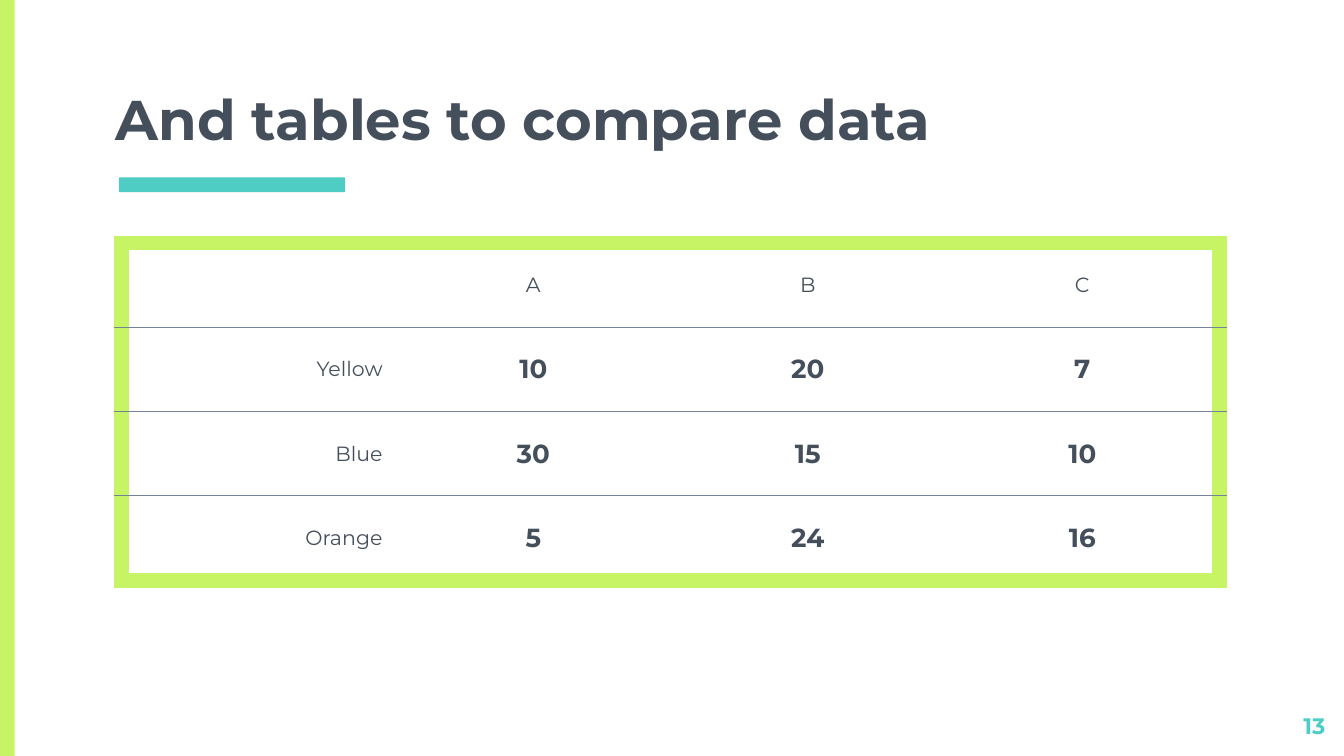
from dataclasses import dataclass

from lxml.etree import SubElement
from pptx import Presentation
from pptx.dml.color import RGBColor
from pptx.enum.shapes import MSO_SHAPE
from pptx.enum.text import MSO_ANCHOR, PP_ALIGN
from pptx.oxml.ns import qn
from pptx.util import Inches, Pt

SLIDE_WIDTH = Inches(10)
SLIDE_HEIGHT = SLIDE_WIDTH * 9 // 16


@dataclass(frozen=True)
class Theme:
    font: str = "Montserrat"
    ink: str = "454F5B"
    lime: str = "C7F464"
    teal: str = "4ECDC4"
    rule: str = "738498"
    title_size: float = 30
    label_size: float = 11
    value_size: float = 14
    number_size: float = 12
    frame_width: float = 9
    rule_width: float = 0.75


THEME = Theme()

ROWS = [
    ["", "A", "B", "C"],
    ["Yellow", "10", "20", "7"],
    ["Blue", "30", "15", "10"],
    ["Orange", "5", "24", "16"],
]


def place(left, top, width, height):
    """Turn percentages of the slide's size into lengths."""
    return [
        round(share * side / 100)
        for share, side in zip(
            (left, top, width, height), (SLIDE_WIDTH, SLIDE_HEIGHT) * 2
        )
    ]


def set_attributes(target, values):
    for name, value in values.items():
        setattr(target, name, value)


def write(frame, text, size, color, bold=False, align=PP_ALIGN.LEFT):
    para = frame.paragraphs[0]
    para.alignment = align
    if not text:
        return
    span = para.add_run()
    span.text = text
    set_attributes(span.font, {"name": THEME.font, "size": Pt(size), "bold": bold})
    span.font.color.rgb = RGBColor.from_string(color)


def add_bar(page, area, color):
    bar = page.shapes.add_shape(MSO_SHAPE.RECTANGLE, *place(*area))
    bar.shadow.inherit = False
    bar.fill.solid()
    bar.fill.fore_color.rgb = RGBColor.from_string(color)
    bar.line.fill.background()


def add_text(page, area, text, anchor, **style):
    box = page.shapes.add_textbox(*place(*area))
    margins = ("margin_left", "margin_top", "margin_right", "margin_bottom")
    set_attributes(
        box.text_frame,
        {"word_wrap": True, "vertical_anchor": anchor}
        | dict.fromkeys(margins, Inches(0.1)),
    )
    write(box.text_frame, text, **style)


def draw_border(cell, side, color, width):
    """Draw one side of a cell (L, R, T or B); without a colour it stays clear."""
    properties = cell._tc.get_or_add_tcPr()
    line = SubElement(properties, qn(f"a:ln{side}"), w=str(Pt(width)))
    if color:
        fill = SubElement(line, qn("a:solidFill"))
        SubElement(fill, qn("a:srgbClr"), val=color)
    else:
        SubElement(line, qn("a:noFill"))


def draw_borders(cell, row, column, last_row, last_column):
    frame = (THEME.lime, THEME.frame_width)
    rule = (THEME.rule, THEME.rule_width)
    clear = (None, 0)
    borders = {
        "L": frame if column == 0 else clear,
        "R": frame if column == last_column else clear,
        "T": frame if row == 0 else rule,
        "B": frame if row == last_row else rule,
    }
    for side, (color, width) in borders.items():
        draw_border(cell, side, color, width)


def add_comparison_table(page, area, rows):
    last_row, last_column = len(rows) - 1, len(rows[0]) - 1
    table = page.shapes.add_table(len(rows), len(rows[0]), *place(*area)).table
    set_attributes(table, {"first_row": False, "horz_banding": False})
    for row, texts in enumerate(rows):
        for column, text in enumerate(texts):
            cell = table.cell(row, column)
            draw_borders(cell, row, column, last_row, last_column)
            cell.fill.background()
            set_attributes(
                cell,
                {
                    "vertical_anchor": MSO_ANCHOR.MIDDLE,
                    "margin_top": Inches(0.07),
                    "margin_bottom": Inches(0.07),
                },
            )
            is_value = row > 0 and column > 0
            write(
                cell.text_frame,
                text,
                size=THEME.value_size if is_value else THEME.label_size,
                color=THEME.ink,
                bold=is_value,
                align=PP_ALIGN.CENTER if column else PP_ALIGN.RIGHT,
            )


def main():
    deck = Presentation()
    set_attributes(deck, {"slide_width": SLIDE_WIDTH, "slide_height": SLIDE_HEIGHT})
    page = deck.slides.add_slide(deck.slide_layouts[6])

    add_bar(page, (0, 0, 1.1, 100), THEME.lime)
    add_bar(page, (8.87, 23.47, 16.8, 1.97), THEME.teal)
    add_text(
        page, (7.6, 12.3, 84.9, 9.6), "And tables to compare data", MSO_ANCHOR.BOTTOM,
        size=THEME.title_size, color=THEME.ink, bold=True,
    )
    add_comparison_table(page, (9.05, 32.15, 81.7, 44.6), ROWS)
    add_text(
        page, (93.6, 92.4, 6, 6), "13", MSO_ANCHOR.TOP,
        size=THEME.number_size, color=THEME.teal, bold=True, align=PP_ALIGN.RIGHT,
    )
    deck.save("out.pptx")


if __name__ == "__main__":
    main()
